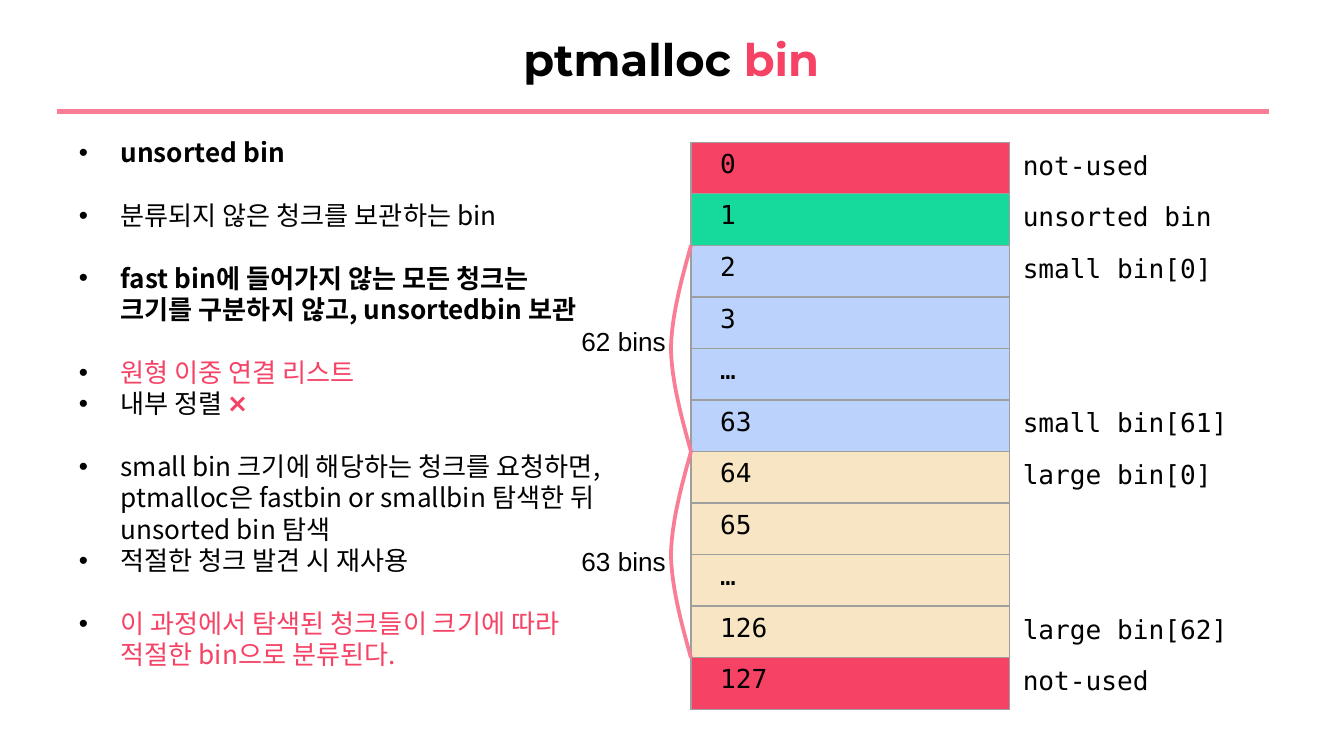
from dataclasses import dataclass

import pptx
import pptx.dml.color
import pptx.enum.shapes
import pptx.enum.text
import pptx.oxml.ns
import pptx.util
from lxml import etree
from pptx.util import Cm, Pt


@dataclass(frozen=True)
class Theme:
    black: str = "000000"
    accent: str = "F54265"
    soft_accent: str = "F87D95"
    green: str = "15DA9B"
    blue: str = "BBD3FC"
    sand: str = "F7E5C3"
    border: str = "9E9E9E"
    heading: str = "Montserrat"
    body: str = "Noto Sans CJK KR"
    mono: str = "DejaVu Sans Mono"
    plain: str = "Arial"
    title_size: float = 24
    text_size: float = 14
    line_pitch: float = 16.8


THEME = Theme()

# Geometry of the bin array, in cm
ARRAY_LEFT, ARRAY_TOP, ARRAY_WIDTH, ARRAY_HEIGHT = 13.06, 2.69, 6.02, 10.72

BINS = [
    ("0", THEME.accent), ("1", THEME.green),
    ("2", THEME.blue), ("3", THEME.blue), ("…", THEME.blue), ("63", THEME.blue),
    ("64", THEME.sand), ("65", THEME.sand), ("…", THEME.sand), ("126", THEME.sand),
    ("127", THEME.accent),
]
ROW_HEIGHT = ARRAY_HEIGHT / len(BINS)

BIN_LABELS = {
    0: "not-used", 1: "unsorted bin", 2: "small bin[0]", 5: "small bin[61]",
    6: "large bin[0]", 9: "large bin[62]", 10: "not-used",
}

# First row, row count, caption, caption top
BIN_GROUPS = [(2, 4, "62 bins", 6.02), (6, 4, "63 bins", 10.19)]

# Starts a new group, then runs of (text, colour, bold)
NOTES = [
    (False, [("unsorted bin", THEME.black, True)]),
    (True, [("분류되지 않은 청크를 보관하는 bin", THEME.black, False)]),
    (True, [("fast bin에 들어가지 않는 모든 청크는\n크기를 구분하지 않고, unsortedbin 보관",
             THEME.black, True)]),
    (True, [("원형 이중 연결 리스트", THEME.accent, False)]),
    (False, [("내부 정렬 ", THEME.black, False), ("❌", THEME.accent, False)]),
    (True, [("small bin 크기에 해당하는 청크를 요청하면,\n"
             "ptmalloc은 fastbin or smallbin 탐색한 뒤\nunsorted bin 탐색",
             THEME.black, False)]),
    (False, [("적절한 청크 발견 시 재사용", THEME.black, False)]),
    (True, [("이 과정에서 탐색된 청크들이 크기에 따라\n적절한 bin으로 분류된다.",
             THEME.accent, False)]),
]


def rgb(colour):
    return pptx.dml.color.RGBColor.from_string(colour)


def sub(parent, tag, **attributes):
    return etree.SubElement(parent, pptx.oxml.ns.qn(tag), attributes)


def add_run(paragraph, text, font, size=THEME.text_size, colour=THEME.black, bold=False):
    for index, line in enumerate(text.split("\n")):
        if index:
            paragraph.add_line_break()
        run = paragraph.add_run()
        run.text = line
        run.font.name = font
        run.font.size = Pt(size)
        run.font.bold = bold
        run.font.color.rgb = rgb(colour)
        sub(run.font._element, "a:ea", typeface=font)


def add_text_frame(slide, left, top, width, height):
    frame = slide.shapes.add_textbox(Cm(left), Cm(top), Cm(width), Cm(height)).text_frame
    frame.word_wrap = True
    return frame


def add_label(slide, text, font, left, top, width):
    frame = add_text_frame(slide, left, top, width, 0.86)
    add_run(frame.paragraphs[0], text, font)


def add_title(slide):
    title = slide.shapes.title
    title.left, title.top, title.width, title.height = Cm(1.24), Cm(0.33), Cm(22.89), Cm(1.55)
    title.text_frame.vertical_anchor = pptx.enum.text.MSO_ANCHOR.MIDDLE
    heading = title.text_frame.paragraphs[0]
    heading.alignment = pptx.enum.text.PP_ALIGN.CENTER
    for text, colour in (("ptmalloc ", THEME.black), ("bin", THEME.accent)):
        add_run(heading, text, THEME.heading, THEME.title_size, colour, True)


def add_title_rule(slide):
    rule = slide.shapes.add_connector(
        pptx.enum.shapes.MSO_CONNECTOR.STRAIGHT, Cm(1.07), Cm(2.11), Cm(23.98), Cm(2.11))
    rule.line.color.rgb = rgb(THEME.soft_accent)
    rule.line.width = Pt(3)
    sub(rule._element.spPr, "a:effectLst")


def add_notes(slide):
    frame = add_text_frame(slide, 1.24, 2.46, 22.89, 11.48)
    for index, (new_group, runs) in enumerate(NOTES):
        note = frame.add_paragraph() if index else frame.paragraphs[0]
        note.line_spacing = Pt(THEME.line_pitch)
        note.space_before = Pt(THEME.line_pitch if new_group else 0)
        properties = note._p.get_or_add_pPr()
        properties.set("marL", str(Cm(0.79)))
        properties.set("indent", str(-Cm(0.79)))
        sub(sub(properties, "a:buClr"), "a:srgbClr", val=THEME.black)
        sub(properties, "a:buFont", typeface=THEME.plain)
        sub(properties, "a:buChar", char="•")
        for text, colour, bold in runs:
            add_run(note, text, THEME.body, colour=colour, bold=bold)


def add_cell_borders(cell):
    properties = cell._tc.get_or_add_tcPr()
    for side in ("a:lnL", "a:lnR", "a:lnT", "a:lnB"):
        border = sub(properties, side, w=str(Pt(0.75)))
        sub(sub(border, "a:solidFill"), "a:srgbClr", val=THEME.border)


def add_bin_array(slide):
    table = slide.shapes.add_table(
        len(BINS), 1, Cm(ARRAY_LEFT), Cm(ARRAY_TOP), Cm(ARRAY_WIDTH), Cm(ARRAY_HEIGHT)).table
    table.first_row = table.horz_banding = False
    for row, (number, colour) in enumerate(BINS):
        table.rows[row].height = Cm(ROW_HEIGHT)
        cell = table.cell(row, 0)
        cell.margin_left = Cm(0.55)
        add_cell_borders(cell)
        cell.fill.solid()
        cell.fill.fore_color.rgb = rgb(colour)
        add_run(cell.text_frame.paragraphs[0], number, THEME.mono)


def add_brace(slide, top, height, steps=12):
    """Draw a bow left of the array: a cubic half curve and its mirror image."""
    def depth(t):
        return 3 * (1 - t) ** 2 * t * 0.18 + 3 * (1 - t) * t ** 2 * 0.36 + t ** 3 * 0.38

    points = []
    for step in range(2 * steps + 1):
        bow = depth(1 - abs(step / steps - 1))
        points.append((Cm(ARRAY_LEFT - bow), Cm(top + height * step / (2 * steps))))
    outline = slide.shapes.build_freeform(*points[0])
    outline.add_line_segments(points[1:], close=False)
    brace = outline.convert_to_shape()
    brace.shadow.inherit = False
    brace.fill.background()
    brace.line.color.rgb = rgb(THEME.soft_accent)
    brace.line.width = Pt(2)


def main():
    deck = pptx.Presentation()
    deck.slide_width, deck.slide_height = Cm(25.4), Cm(14.29)
    slide = deck.slides.add_slide(deck.slide_layouts[5])

    # Heading and explanation
    add_title(slide)
    add_title_rule(slide)
    add_notes(slide)

    # Bin array with the name of each bin
    add_bin_array(slide)
    for row, name in BIN_LABELS.items():
        add_label(slide, name, THEME.mono, ARRAY_LEFT + ARRAY_WIDTH,
                  ARRAY_TOP + row * ROW_HEIGHT, 4.7)

    # Bin counts of the small and large groups
    for first_row, row_count, caption, caption_top in BIN_GROUPS:
        add_brace(slide, ARRAY_TOP + first_row * ROW_HEIGHT, row_count * ROW_HEIGHT)
        add_label(slide, caption, THEME.plain, 10.74, caption_top, 2.54)

    deck.save("out.pptx")


if __name__ == "__main__":
    main()
